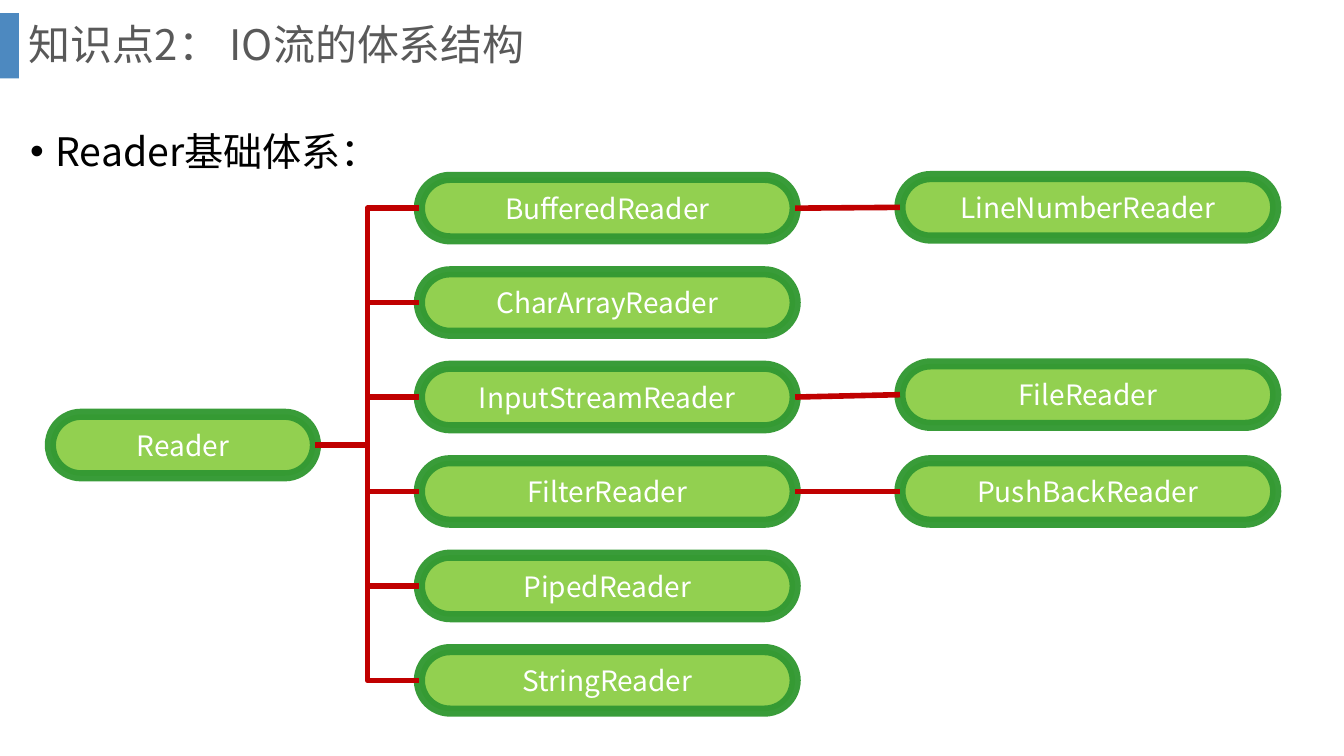
from dataclasses import dataclass

from lxml import etree
from pptx import Presentation
from pptx.dml.color import RGBColor
from pptx.enum.shapes import MSO_CONNECTOR, MSO_SHAPE
from pptx.enum.text import MSO_ANCHOR, PP_ALIGN
from pptx.oxml.ns import qn
from pptx.shapes.autoshape import Shape
from pptx.slide import Slide
from pptx.util import Cm, Pt

ROUNDED = MSO_SHAPE.ROUNDED_RECTANGLE
RECTANGLE = MSO_SHAPE.RECTANGLE
ELBOW = MSO_CONNECTOR.ELBOW
STRAIGHT = MSO_CONNECTOR.STRAIGHT
MIDDLE = MSO_ANCHOR.MIDDLE
TOP = MSO_ANCHOR.TOP
LEFT = PP_ALIGN.LEFT
CENTER = PP_ALIGN.CENTER
LEFT_SIDE, RIGHT_SIDE = 1, 3

FONT = "Noto Sans CJK SC"
BLUE = RGBColor(0x2E, 0x75, 0xB6)
GRAY = RGBColor(0x59, 0x59, 0x59)
BLACK = RGBColor(0, 0, 0)
WHITE = RGBColor(0xFF, 0xFF, 0xFF)
LIME = RGBColor(0x92, 0xD0, 0x50)
GREEN = RGBColor(0x33, 0x99, 0x33)
RED = RGBColor(0xC0, 0, 0)

# Layout of the tree, in centimetres
NODE_HEIGHT = 1.55
CHILD_LEFT, CHILD_TOP, CHILD_PITCH = 10.57, 4.47, 2.38
LEAF_LEFT = 22.68
CLASS_WIDTH = 9.47


@dataclass(frozen=True)
class Node:
    name: str
    left: float
    top: float
    width: float = CLASS_WIDTH


ROOT = Node("Reader", 1.27, 10.44, 6.68)
CHILD_NAMES = ("BufferedReader", "CharArrayReader", "InputStreamReader",
               "FilterReader", "PipedReader", "StringReader")
CHILDREN = [Node(name, CHILD_LEFT, CHILD_TOP + row * CHILD_PITCH)
            for row, name in enumerate(CHILD_NAMES)]
LEAVES = {
    "BufferedReader": Node("LineNumberReader", LEAF_LEFT, 4.45),
    "InputStreamReader": Node("FileReader", LEAF_LEFT, 9.17),
    "FilterReader": Node("PushBackReader", LEAF_LEFT, 11.61),
}


def set_alpha(color_parent, percent: int) -> None:
    color = color_parent.find(".//" + qn("a:srgbClr"))
    etree.SubElement(color, qn("a:alpha"), val=str(percent * 1000))


def write_text(shape: Shape, text: str, *, size: int, color: RGBColor,
               align: PP_ALIGN = LEFT, anchor: MSO_ANCHOR = MIDDLE,
               line_spacing: float = 1.0, bullet: str = "") -> None:
    frame = shape.text_frame
    frame.word_wrap = True
    frame.vertical_anchor = anchor
    paragraph = frame.paragraphs[0]
    paragraph.alignment = align
    paragraph.line_spacing = line_spacing
    if bullet:
        properties = paragraph._p.get_or_add_pPr()
        indent = Cm(0.64)
        properties.set("marL", str(indent))
        properties.set("indent", str(-indent))
        etree.SubElement(properties, qn("a:buFont"), typeface="Arial")
        etree.SubElement(properties, qn("a:buChar"), char=bullet)
    run = paragraph.add_run()
    run.text = text
    run.font.size = Pt(size)
    run.font.name = FONT
    run.font.color.rgb = color
    etree.SubElement(run._r.get_or_add_rPr(), qn("a:ea"), typeface=FONT)


def add_node(slide: Slide, node: Node) -> Shape:
    shape = slide.shapes.add_shape(ROUNDED, Cm(node.left), Cm(node.top),
                                   Cm(node.width), Cm(NODE_HEIGHT))
    shape.shadow.inherit = False
    shape.adjustments[0] = 0.5
    shape.fill.solid()
    shape.fill.fore_color.rgb = LIME
    shape.line.color.rgb = GREEN
    shape.line.width = Pt(8)
    set_alpha(shape.line._get_or_add_ln(), 96)
    write_text(shape, node.name, size=20, color=WHITE, align=CENTER)
    return shape


def join(slide: Slide, parent: Shape, child: Shape, kind: MSO_CONNECTOR) -> None:
    connector = slide.shapes.add_connector(kind, 0, 0, 0, 0)
    connector.begin_connect(parent, RIGHT_SIDE)
    connector.end_connect(child, LEFT_SIDE)
    connector.line.color.rgb = RED
    connector.line.width = Pt(4)
    etree.SubElement(connector._element.spPr, qn("a:effectLst"))


def add_heading(slide: Slide) -> None:
    marker = slide.shapes.add_shape(RECTANGLE, 0, Cm(0.33), Cm(0.48), Cm(1.65))
    marker.shadow.inherit = False
    marker.fill.solid()
    marker.fill.fore_color.rgb = BLUE
    set_alpha(marker._element.spPr, 85)
    marker.line.fill.background()

    title = slide.shapes.add_textbox(Cm(0.48), 0, Cm(32.16), Cm(2.36))
    write_text(title, "知识点2： IO流的体系结构", size=30, color=GRAY,
               line_spacing=0.9)
    body = slide.shapes.add_textbox(Cm(0.51), Cm(2.49), Cm(32.77), Cm(15.14))
    write_text(body, "Reader基础体系：", size=28, color=BLACK, anchor=TOP,
               line_spacing=1.5, bullet="•")


def add_tree(slide: Slide) -> None:
    root = add_node(slide, ROOT)
    for node in CHILDREN:
        child = add_node(slide, node)
        join(slide, root, child, ELBOW)
        if node.name in LEAVES:
            leaf = add_node(slide, LEAVES[node.name])
            join(slide, child, leaf, STRAIGHT)


def main() -> None:
    presentation = Presentation()
    presentation.slide_width = Cm(33.87)
    presentation.slide_height = Cm(19.05)
    slide = presentation.slides.add_slide(presentation.slide_layouts[6])
    add_heading(slide)
    add_tree(slide)
    presentation.save("out.pptx")


if __name__ == "__main__":
    main()
